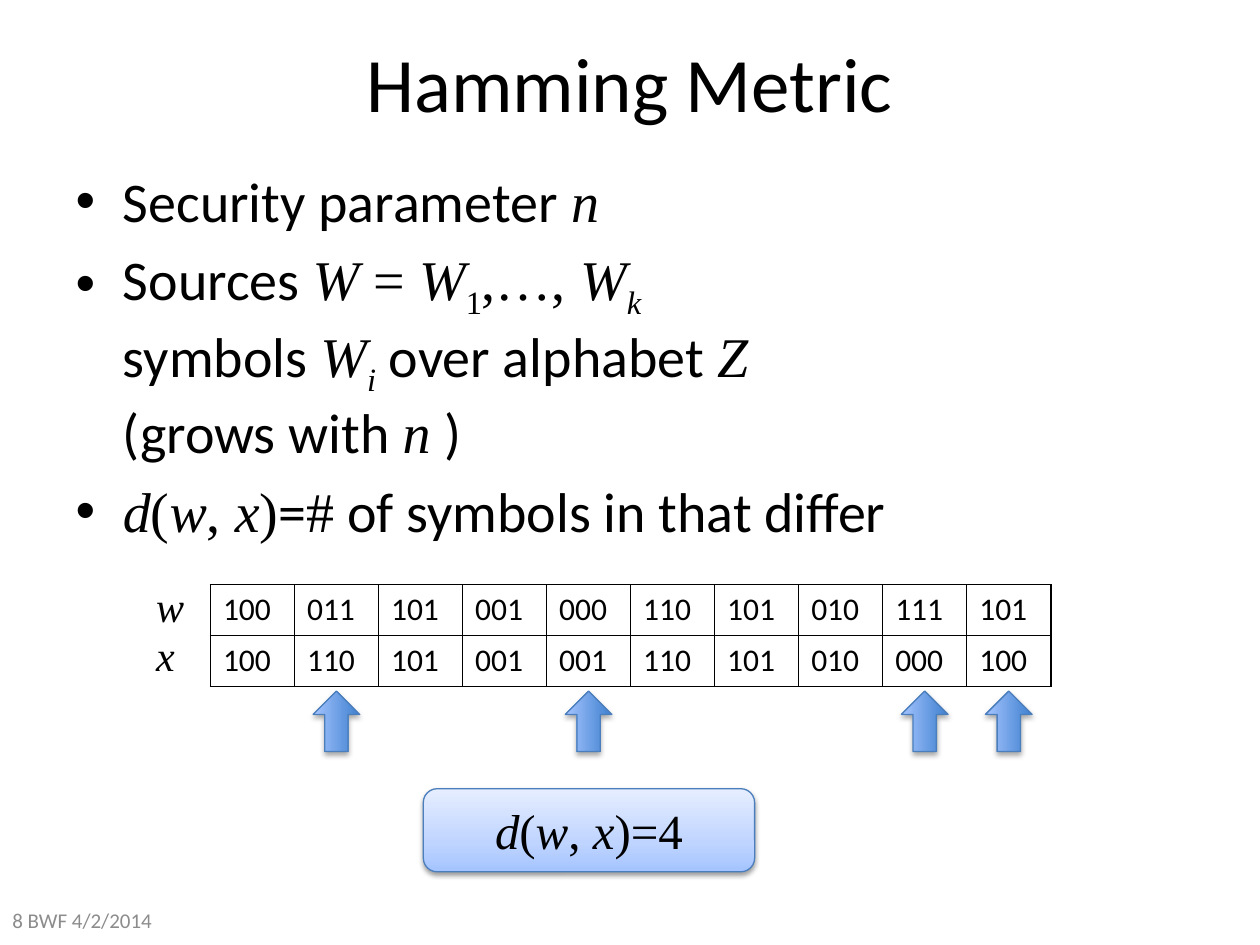
from lxml import etree
from pptx import Presentation
from pptx import util as u
from pptx.dml.color import RGBColor
from pptx.enum import shapes, text
from pptx.oxml import parse_xml
from pptx.oxml.ns import nsdecls, qn

Inches, Pt = u.Inches, u.Pt
SANS, SERIF = "Calibri", "Times New Roman"
# Run styles: font, italic, subscript
PLAIN, VAR, MATH = (SANS, False, False), (SERIF, True, False), (SERIF, False, False)
VAR_SUB, MATH_SUB = (SERIF, True, True), (SERIF, False, True)


def add_runs(paragraph, pieces, size, color="000000"):
    for words, (font, italic, subscript) in pieces:
        if words == "\n":
            paragraph.add_line_break()
            continue
        run = paragraph.add_run()
        run.text = words
        run.font.name, run.font.size, run.font.italic = font, Pt(size), italic
        run.font.color.rgb = RGBColor.from_string(color)
        if subscript:
            run.font._element.set("baseline", "-25000")


def style_shape(shape, stops, shadow_alpha, shadow_distance):
    """Upward gradient, thin blue outline and a soft shadow below."""
    shape.line.color.rgb = RGBColor.from_string("4B7EBC")
    shape.line.width = Pt(0.75)
    stop_xml = "".join(f'<a:gs pos="{pos * 1000}"><a:srgbClr val="{color}"/></a:gs>'
                       for pos, color in stops)
    gradient = parse_xml(f'<a:gradFill {nsdecls("a")} rotWithShape="1"><a:gsLst>{stop_xml}'
                         '</a:gsLst><a:lin ang="16200000" scaled="0"/></a:gradFill>')
    shadow = parse_xml(
        f'<a:effectLst {nsdecls("a")}><a:outerShdw blurRad="{Pt(3.1)}" '
        f'dist="{Pt(shadow_distance)}" dir="5400000" rotWithShape="0"><a:srgbClr val="000000">'
        f'<a:alpha val="{shadow_alpha * 1000}"/></a:srgbClr></a:outerShdw></a:effectLst>')
    outline = shape._element.spPr.find(qn("a:ln"))
    outline.addprevious(gradient)
    outline.addnext(shadow)


prs = Presentation()
prs.slide_width, prs.slide_height = Inches(10), Inches(7.5)
slide = prs.slides.add_slide(prs.slide_layouts[1])  # title and bulleted body

# Title
title = slide.shapes.title
title.left, title.top, title.width, title.height = map(Inches, (0.5, 0.02, 9, 1.25))
add_runs(title.text_frame.paragraphs[0], [("Hamming Metric", PLAIN)], 44)

# Bullets
distance = [("d", VAR), ("(", MATH), ("w", VAR), (", ", MATH), ("x", VAR)]
bullets = [
    [("Security parameter ", PLAIN), ("n", VAR)],
    [("Sources ", PLAIN), ("W", VAR), (" = ", MATH), ("W", VAR), ("1", MATH_SUB),
     (",…, ", MATH), ("W", VAR), ("k ", VAR_SUB), ("\n", PLAIN),
     ("symbols ", PLAIN), ("W", VAR), ("i", VAR_SUB), (" over alphabet ", PLAIN),
     ("Z ", VAR), ("\n", PLAIN), ("(grows with ", PLAIN), ("n ", VAR), (")", PLAIN)],
    distance + [(")", MATH), ("=", PLAIN), ("#", MATH), (" of symbols in that differ", PLAIN)],
]
body = slide.placeholders[1]
body.left, body.top, body.width, body.height = map(Inches, (0.5, 1.27, 9, 3.32))
for i, pieces in enumerate(bullets):
    frame = body.text_frame
    paragraph = frame.add_paragraph() if i else frame.paragraphs[0]
    add_runs(paragraph, pieces, 32)

# Footer
footer = slide.shapes.add_textbox(Inches(0), Inches(7.1), Inches(2.33), Inches(0.4))
footer.text_frame.word_wrap = True
footer.text_frame.vertical_anchor = text.MSO_ANCHOR.MIDDLE
add_runs(footer.text_frame.paragraphs[0], [("8 BWF 4/2/2014", PLAIN)], 12, "8C8C8C")

# Table of the two words, one symbol per column
words = {
    "w": "100 011 101 001 000 110 101 010 111 101".split(),
    "x": "100 110 101 001 001 110 101 010 000 100".split(),
}
table_left, column_width = 1.67, 0.667
table = slide.shapes.add_table(2, 10, Inches(table_left), Inches(4.64),
                               Inches(10 * column_width), Inches(0.81)).table
table.first_row = table.horz_banding = False
for r, symbols in enumerate(words.values()):
    for c, symbol in enumerate(symbols):
        cell = table.cell(r, c)
        add_runs(cell.text_frame.paragraphs[0], [(symbol, PLAIN)], 18)
        cell.fill.background()
        for i, side in enumerate(("lnL", "lnR", "lnT", "lnB")):
            border = parse_xml(f'<a:{side} {nsdecls("a")} w="{Pt(1)}"><a:solidFill>'
                               f'<a:srgbClr val="000000"/></a:solidFill></a:{side}>')
            cell._tc.get_or_add_tcPr().insert(i, border)

# Row names
for name, top, width in (("w", 4.56, 0.45), ("x", 4.95, 0.38)):
    label = slide.shapes.add_textbox(Inches(1.14), Inches(top), Inches(width), Inches(0.5))
    label.text_frame.word_wrap = False
    add_runs(label.text_frame.paragraphs[0], [(name, VAR)], 24)

# Arrows under the columns that differ
for c, (w, x) in enumerate(zip(*words.values())):
    if w != x:
        center = table_left + (c + 0.5) * column_width
        arrow = slide.shapes.add_shape(shapes.MSO_SHAPE.RIGHT_ARROW, Inches(center - 0.24),
                                       Inches(5.54), Inches(0.48), Inches(0.37))
        arrow.rotation = 270
        style_shape(arrow, [(0, "3F80CE"), (100, "A4C4FF")], 35, 1.8)

# Resulting distance
result = slide.shapes.add_shape(shapes.MSO_SHAPE.ROUNDED_RECTANGLE, Inches(3.36),
                                Inches(6.26), Inches(2.63), Inches(0.66))
style_shape(result, [(0, "A4C4FF"), (35, "BFD4FF"), (100, "E6EEFF")], 38, 1.6)
frame = result.text_frame
frame.margin_left = frame.margin_right = frame.margin_top = frame.margin_bottom = Inches(0.05)
frame.vertical_anchor = text.MSO_ANCHOR.MIDDLE
frame.paragraphs[0].alignment = text.PP_ALIGN.CENTER
add_runs(frame.paragraphs[0], distance + [(")=4", MATH)], 28)

prs.save("out.pptx")
